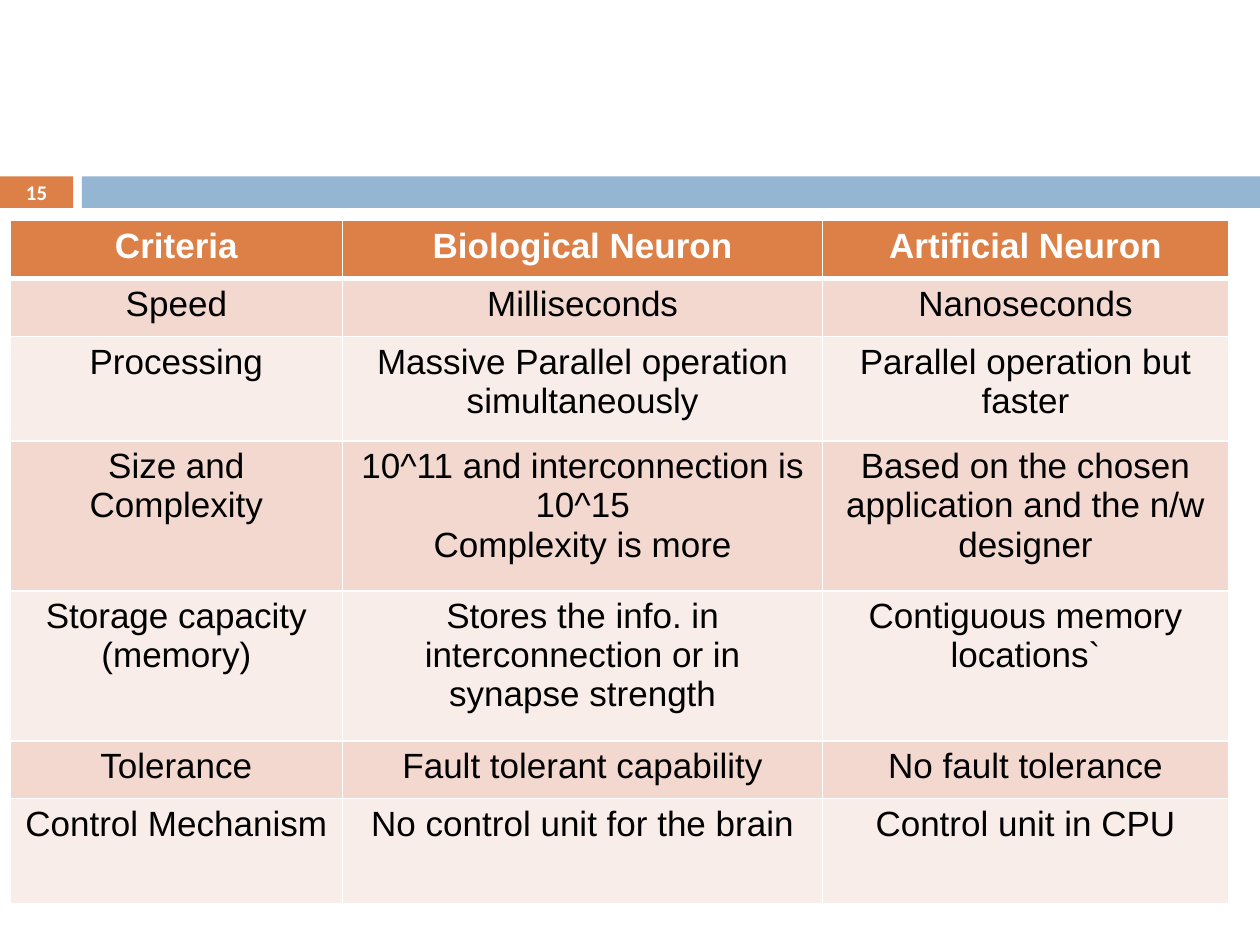
from lxml import etree
from pptx import Presentation
from pptx.dml.color import RGBColor
from pptx.enum import shapes, text
from pptx.oxml import ns
from pptx.util import Inches, Pt

COLORS = {"orange": "DD8047", "blue": "94B6D2", "dark_band": "F2D8CF",
          "light_band": "F9EDE9", "white": "FFFFFF", "black": "000000"}


def add_text(p, words, font, size, color, bold):
    p.alignment = text.PP_ALIGN.CENTER
    r = p.add_run()
    r.text = words
    r.font.name, r.font.size, r.font.bold = font, Pt(size), bold
    r.font.color.rgb = RGBColor.from_string(COLORS[color])


def set_borders(cell, bottom, top):
    widths = {"lnL": 1, "lnR": 1, "lnT": top, "lnB": bottom}
    tcPr = cell._tc.get_or_add_tcPr()
    for i, (side, width) in enumerate(widths.items()):
        ln = etree.Element(ns.qn("a:" + side), w=str(Pt(width)))
        fill = etree.SubElement(ln, ns.qn("a:solidFill"))
        etree.SubElement(fill, ns.qn("a:srgbClr"), val=COLORS["white"])
        tcPr.insert(i, ln)


prs = Presentation()
prs.slide_width, prs.slide_height = Inches(10), Inches(7.5)
s = prs.slides.add_slide(prs.slide_layouts[6])

# Header bars
for left, width, color in [(0, 0.58, "orange"), (0.65, 9.35, "blue")]:
    sp = s.shapes.add_shape(shapes.MSO_SHAPE.RECTANGLE, Inches(left), Inches(1.4),
                            Inches(width), Inches(0.25))
    sp.shadow.inherit = False
    sp.fill.solid()
    sp.fill.fore_color.rgb = RGBColor.from_string(COLORS[color])
    sp.line.fill.background()

# Comparison table
rows = [
    ("Criteria", "Biological Neuron", "Artificial Neuron"),
    ("Speed", "Milliseconds", "Nanoseconds"),
    ("Processing", "Massive Parallel operation simultaneously",
     "Parallel operation but faster"),
    ("Size and Complexity",
     "10^11 and interconnection is 10^15\nComplexity is more",
     "Based on the chosen application and the n/w designer"),
    ("Storage capacity (memory)",
     "Stores the info. in interconnection or in synapse strength",
     "Contiguous memory locations`"),
    ("Tolerance", "Fault tolerant capability", "No fault tolerance"),
    ("Control Mechanism", "No control unit for the brain", "Control unit in CPU"),
]
col_widths = [2.64, 3.81, 3.22]
row_heights = [0.46, 0.46, 0.83, 1.19, 1.19, 0.46, 0.83]
table = s.shapes.add_table(len(rows), len(col_widths), Inches(0.08), Inches(1.75),
                           Inches(sum(col_widths)), Inches(sum(row_heights))).table
for col, width in zip(table.columns, col_widths):
    col.width = Inches(width)
for i, (row, height) in enumerate(zip(rows, row_heights)):
    table.rows[i].height = Inches(height)
    header = i == 0
    band = "orange" if header else "dark_band" if i % 2 else "light_band"
    for j, words in enumerate(row):
        cell = table.cell(i, j)
        cell.fill.solid()
        cell.fill.fore_color.rgb = RGBColor.from_string(COLORS[band])
        set_borders(cell, bottom=3 if header else 1, top=3 if i == 1 else 1)
        tf = cell.text_frame
        for k, line in enumerate(words.split("\n")):
            p = tf.add_paragraph() if k else tf.paragraphs[0]
            add_text(p, line, "Arial", 20, "white" if header else "black", header)

# Slide number
tf = s.shapes.add_textbox(Inches(0), Inches(1.39), Inches(0.58), Inches(0.27)).text_frame
tf.word_wrap = True
tf.vertical_anchor = text.MSO_ANCHOR.MIDDLE
add_text(tf.paragraphs[0], "15", "Calibri", 11.9, "white", True)

prs.save("out.pptx")
